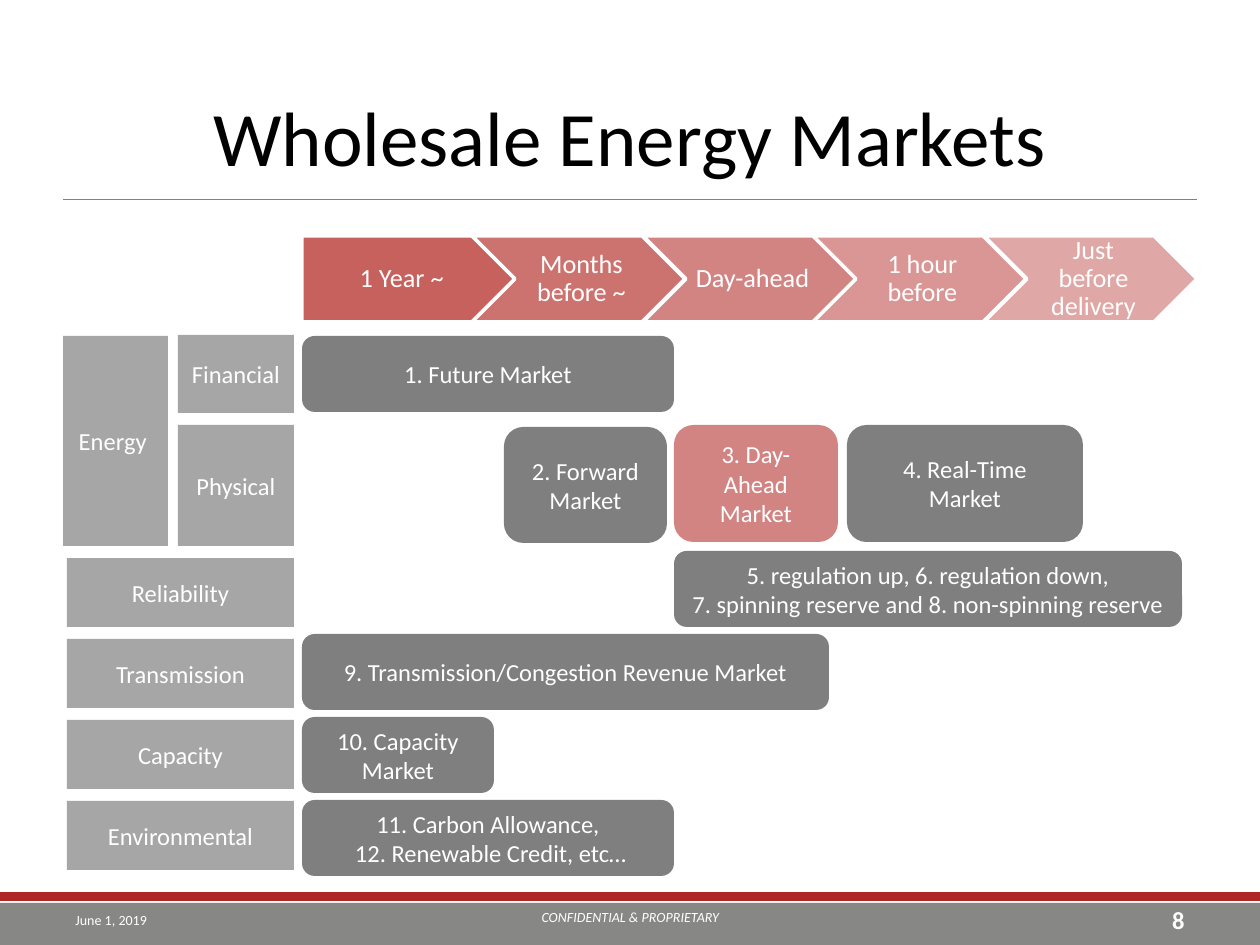
from lxml import etree
from pptx import Presentation
from pptx import util as u
from pptx.dml.color import RGBColor
from pptx.enum import shapes, text
from pptx.oxml.ns import qn

PX = 914400 / 126  # EMU per px

WHITE = RGBColor(0xFF, 0xFF, 0xFF)
BLACK = RGBColor(0, 0, 0)
RED = RGBColor(0xC0, 0x50, 0x4D)
DARK_RED = RGBColor(0xAF, 0x26, 0x26)
FOOTER_GRAY = RGBColor(0x87, 0x87, 0x85)
RULE_GRAY = RGBColor(0x80, 0x80, 0x80)
LABEL_GRAY = RGBColor(0xA6, 0xA6, 0xA6)

SHAPE = shapes.MSO_SHAPE
ALIGN = text.PP_ALIGN

# Content; every box is (left, top, width, height) in px
TITLE = "Wholesale Energy Markets"
PERIODS = ["1 Year ~", "Months before ~", "Day-ahead", "1 hour before",
           "Just before delivery"]
ENERGY_LABELS = [
    ("Energy ", (63, 336, 105, 210)),
    ("Financial ", (178, 335, 116, 78)),
    ("Physical", (178, 425, 116, 121)),
]
OTHER_LABELS = ["Reliability", "Transmission", "Capacity", "Environmental"]
MARKETS = [
    ("1. Future Market", (302, 336, 372, 76), BLACK, 50),
    ("2. Forward Market", (504, 427, 163, 116), BLACK, 50),
    ("3. Day-Ahead Market", (674, 425, 164, 117), RED, 70),
    ("4. Real-Time Market", (847, 425, 236, 117), BLACK, 50),
    (" 5. regulation up, 6. regulation down, \n"
     "7. spinning reserve and 8. non-spinning reserve",
     (674, 551, 508, 76), BLACK, 50),
    ("9. Transmission/Congestion Revenue Market", (302, 634, 527, 76), BLACK, 50),
    ("10. Capacity Market", (302, 717, 192, 76), BLACK, 50),
    ("11. Carbon Allowance,\n 12. Renewable Credit, etc…",
     (302, 800, 372, 76), BLACK, 50),
]
FOOTER = [
    ("June 1, 2019", (63, 895, 294, 50), dict(size=8, align=ALIGN.LEFT)),
    ("CONFIDENTIAL & PROPRIETARY", (431, 892, 399, 50), dict(size=8, italic=True)),
    ("8", (903, 895, 294, 50), dict(size=14, bold=True, align=ALIGN.RIGHT)),
]


def px(*lengths):
    return [u.Emu(round(length * PX)) for length in lengths]


def write(shape, words, size=14, color=WHITE, align=ALIGN.CENTER, bold=False,
          italic=False, spacing=None, insets=None):
    frame = shape.text_frame
    frame.word_wrap = True
    frame.vertical_anchor = text.MSO_ANCHOR.MIDDLE
    if insets:
        (frame.margin_left, frame.margin_top,
         frame.margin_right, frame.margin_bottom) = px(*insets)
    for i, line in enumerate(words.split("\n")):
        para = frame.paragraphs[0] if i == 0 else frame.add_paragraph()
        para.alignment = align
        para.line_spacing = spacing
        span = para.add_run()
        span.text = line
        span.font.name = "Calibri"
        span.font.size = u.Pt(size)
        span.font.bold = bold
        span.font.italic = italic
        span.font.color.rgb = color


def add_box(page, kind, place, fill, opacity=100, outline=None):
    box = page.shapes.add_shape(kind, *px(*place))
    box.shadow.inherit = False
    box.fill.solid()
    box.fill.fore_color.rgb = fill
    if opacity < 100:
        color = box.fill._xPr.find(qn("a:solidFill"))[0]
        etree.SubElement(color, qn("a:alpha"), val=str(opacity * 1000))
    if outline is None:
        box.line.fill.background()
    else:
        box.line.color.rgb = outline
        box.line.width = u.Pt(2)
    return box


def add_words(page, words, place, **style):
    write(page.shapes.add_textbox(*px(*place)), words, **style)


def main():
    deck = Presentation()
    deck.slide_width, deck.slide_height = px(1260, 945)
    page = deck.slides.add_slide(deck.slide_layouts[6])

    # Footer bands and rule under the title
    add_box(page, SHAPE.RECTANGLE, (0, 892, 1260, 9), DARK_RED)
    add_box(page, SHAPE.RECTANGLE, (0, 903, 1260, 42), FOOTER_GRAY)
    rule = page.shapes.add_connector(shapes.MSO_CONNECTOR.STRAIGHT,
                                     *px(63, 199, 1197, 199))
    rule.line.color.rgb = RULE_GRAY
    rule.line.width = u.Pt(0.5)
    etree.SubElement(rule._element.spPr, qn("a:effectLst"))

    # Title
    add_words(page, TITLE, (63, 76, 1134, 120), size=44, color=BLACK)

    # Timeline: each arrow overlaps the one before by a fifth, and is paler
    width = 213
    for i, period in enumerate(PERIODS):
        kind = SHAPE.CHEVRON if i else SHAPE.PENTAGON
        place = (302 + round(i * width * 0.8), 236, width, 86)
        arrow = add_box(page, kind, place, RED, 90 - 10 * i, WHITE)
        write(arrow, period, size=15, spacing=0.9,
              insets=(9 if i else 11, 5, 3, 5))

    # Row labels
    other_labels = [(name, (67, 558 + 81 * i, 227, 69))
                    for i, name in enumerate(OTHER_LABELS)]
    for name, place in ENERGY_LABELS + other_labels:
        write(add_box(page, SHAPE.RECTANGLE, place, LABEL_GRAY), name)

    # Markets
    for name, place, fill, opacity in MARKETS:
        write(add_box(page, SHAPE.FLOWCHART_ALTERNATE_PROCESS, place, fill,
                      opacity), name)

    # Footer text
    for words, place, style in FOOTER:
        add_words(page, words, place, **style)

    deck.save("out.pptx")


if __name__ == "__main__":
    main()
